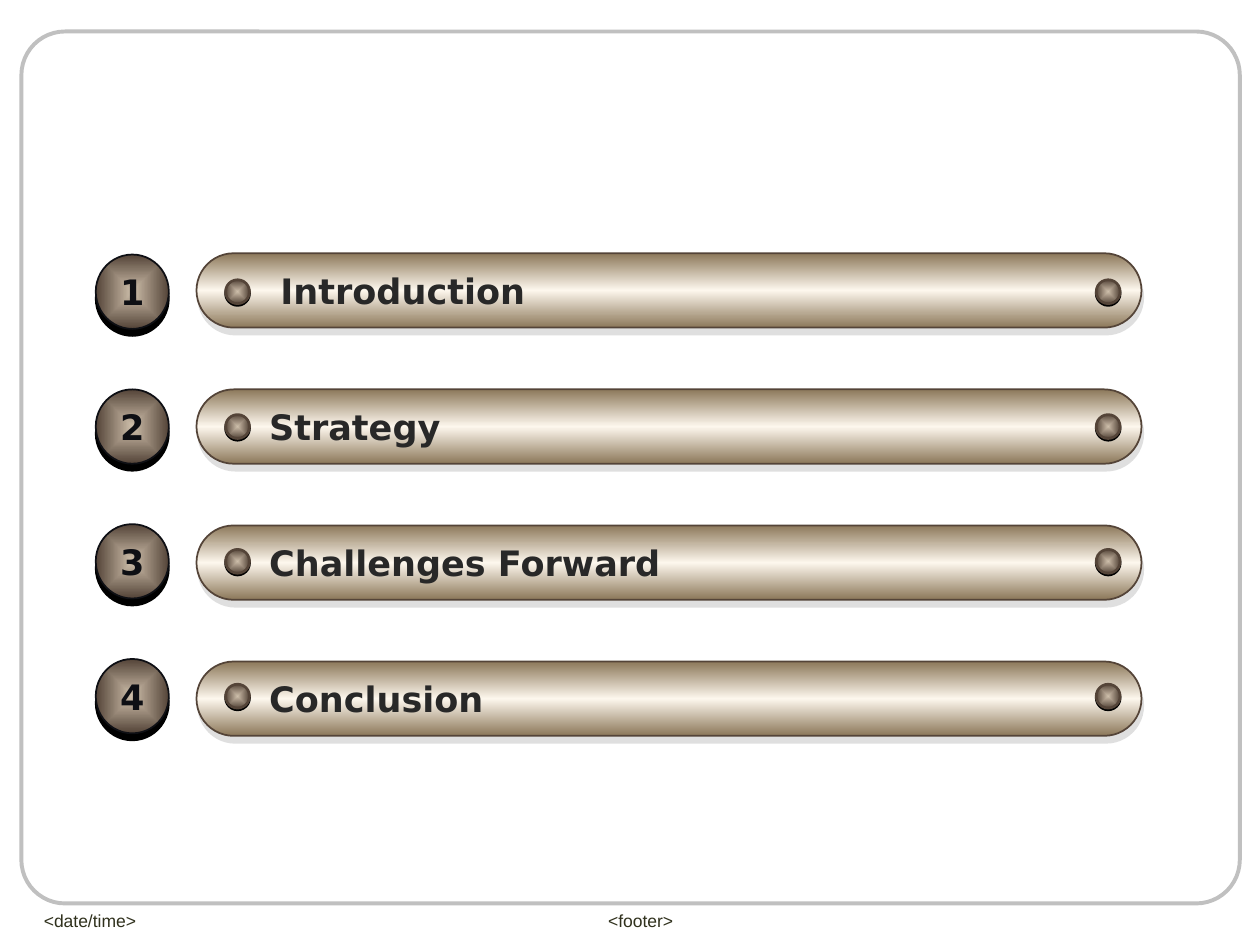
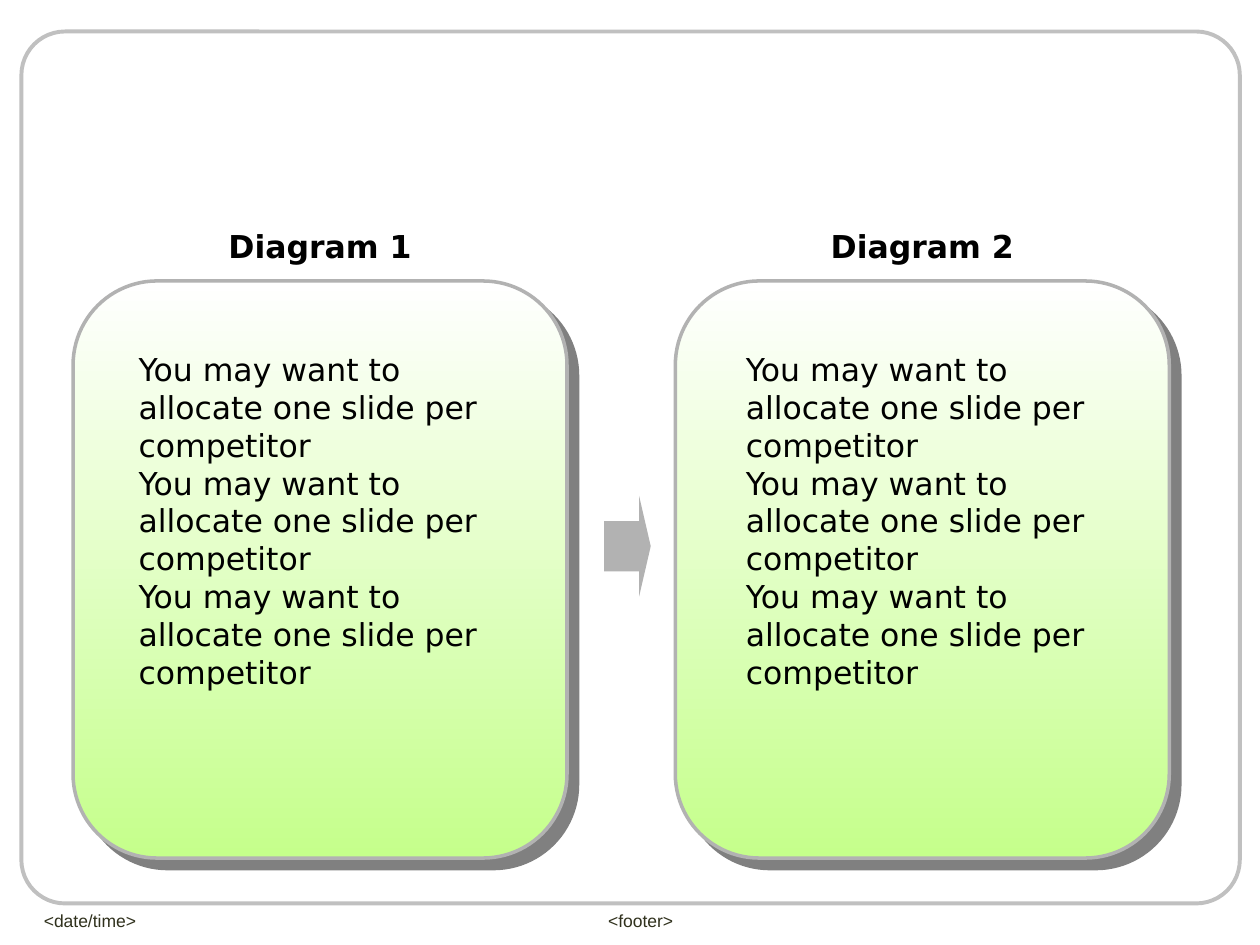
"""Build an agenda slide and a two-panel comparison slide."""
from lxml.etree import SubElement
from pptx import Presentation
from pptx.dml.color import RGBColor
from pptx.enum.shapes import MSO_SHAPE
from pptx.enum.text import MSO_ANCHOR, MSO_AUTO_SIZE, PP_ALIGN
from pptx.oxml.ns import qn
from pptx.util import Inches, Pt

AGENDA = ["Introduction", "Strategy", "Challenges Forward", "Conclusion"]
ADVICE = "You may want to allocate one slide per competitor"
DIAGRAMS = [("Diagram 1", [ADVICE] * 3), ("Diagram 2", [ADVICE] * 3)]
FOOTERS = [
    ("<date/time>", (0.25, 7.17, 2.33, 0.27), PP_ALIGN.LEFT),
    ("<footer>", (3.5, 7.17, 3.17, 0.27), PP_ALIGN.CENTER),
]

WIDTH, HEIGHT = 10, 7.5
BLANK, COMPARISON = 6, 4
HEADING_SLOTS, LIST_SLOTS = (1, 3), (2, 4)
FONT, FOOTER_FONT = "DejaVu Sans", "Arial"
FRAME_LINE, FOOTER_INK = "C0C0C0", "30311D"
BROWN, INK, BAR_INK, BLACK, GREY = "544438", "0E0F14", "282828", "000000", "B2B2B2"
BAR_STOPS = [(0, "8C785A"), (50, "FDF7ED"), (100, "8C785A")]
KNOB_STOPS = [(0, "CDBEAA"), (100, BROWN)]
PANEL_STOPS = [(0, "FFFFFF"), (100, "C5FF8B")]

BAR_TOP, BAR_PITCH = 2.01, 1.08
KNOB_TOP, KNOB_PITCH = 2.02, 1.07
BAR_LEFT, BAR_WIDTH, BAR_HEIGHT = 1.56, 7.5, 0.59
STUD_LEFTS, STUD_SIZE = (1.79, 8.7), 0.19
PANEL_PITCH, LIST_PITCH = 4.78, 4.82


def color(value):
    return RGBColor.from_string(value)


def inches(place):
    return [Inches(length) for length in place]


def add_shape(page, kind, place, line=None, width=1, adjustments=()):
    shape = page.shapes.add_shape(kind, *inches(place))
    shape.shadow.inherit = False
    shape.fill.background()
    if line:
        shape.line.color.rgb = color(line)
        shape.line.width = Pt(width)
    else:
        shape.line.fill.background()
    for index, value in enumerate(adjustments):
        shape.adjustments[index] = value
    return shape


def fill_gradient(shape, stops, from_centre=False):
    shape.fill.gradient()
    gradient = shape._element.spPr.find(qn("a:gradFill"))
    for child in list(gradient):
        gradient.remove(child)
    stop_list = SubElement(gradient, qn("a:gsLst"))
    for position, value in stops:
        stop = SubElement(stop_list, qn("a:gs"), pos=str(position * 1000))
        SubElement(stop, qn("a:srgbClr"), val=value)
    if from_centre:
        route = SubElement(gradient, qn("a:path"), path="rect")
        SubElement(route, qn("a:fillToRect"), l="50000", t="50000", r="50000", b="50000")
    else:
        SubElement(gradient, qn("a:lin"), ang="5400000", scaled="0")


def cast_shadow(shape, value, distance, angle, opacity=100):
    effects = shape._element.spPr.find(qn("a:effectLst"))
    shadow = SubElement(effects, qn("a:outerShdw"), blurRad="0", dist=str(Pt(distance)),
                        dir=str(angle * 60000), algn="ctr", rotWithShape="0")
    ink = SubElement(shadow, qn("a:srgbClr"), val=value)
    SubElement(ink, qn("a:alpha"), val=str(opacity * 1000))


def write(shape, lines, size, ink, bold=False, align=PP_ALIGN.LEFT,
          anchor=MSO_ANCHOR.TOP, font=FONT, left_margin=0.1):
    frame = shape.text_frame
    frame.word_wrap = True
    frame.auto_size = MSO_AUTO_SIZE.NONE
    frame.vertical_anchor = anchor
    frame.margin_left, frame.margin_right = Inches(left_margin), Inches(0.1)
    frame.margin_top = frame.margin_bottom = Inches(0.05)
    for index, line in enumerate(lines):
        para = frame.add_paragraph() if index else frame.paragraphs[0]
        para.alignment = align
        para.space_before = Pt(0)
        span = para.add_run()
        span.text = line
        span.font.name, span.font.size, span.font.bold = font, Pt(size), bold
        span.font.color.rgb = color(ink)


def fill_placeholder(page, slot, place, lines, **style):
    box = page.placeholders[slot]
    box.left, box.top, box.width, box.height = inches(place)
    page.shapes._spTree.append(box._element)
    write(box, lines, 18, BLACK, **style)
    for para in box.text_frame.paragraphs:
        properties = para._p.get_or_add_pPr()
        properties.set("marL", "0")
        properties.set("indent", "0")
        SubElement(properties, qn("a:buNone"))


def add_page(deck, layout):
    page = deck.slides.add_slide(deck.slide_layouts[layout])
    add_shape(page, MSO_SHAPE.ROUNDED_RECTANGLE, (0.17, 0.25, 9.67, 6.92),
              FRAME_LINE, 2.25, [0.05])
    for words, place, align in FOOTERS:
        box = page.shapes.add_textbox(*inches(place))
        write(box, [words], 10, FOOTER_INK, align=align, font=FOOTER_FONT)
    return page


def add_knob(page, place, line, width, shadow_distance):
    knob = add_shape(page, MSO_SHAPE.OVAL, place, line, width)
    fill_gradient(knob, KNOB_STOPS, from_centre=True)
    cast_shadow(knob, BLACK, shadow_distance, 90)
    return knob


def add_agenda(deck):
    page = add_page(deck, BLANK)
    for row, topic in enumerate(AGENDA):
        bar = add_shape(page, MSO_SHAPE.ROUNDED_RECTANGLE,
                        (BAR_LEFT, BAR_TOP + row * BAR_PITCH, BAR_WIDTH, BAR_HEIGHT),
                        BROWN, 1, [0.5])
        fill_gradient(bar, BAR_STOPS)
        cast_shadow(bar, FRAME_LINE, 4.1, 76, 50)
        write(bar, [topic], 20, BAR_INK, bold=True, anchor=MSO_ANCHOR.MIDDLE,
              left_margin=0.49 if row else 0.58)
        top = KNOB_TOP + row * KNOB_PITCH
        number = add_knob(page, (0.76, top, 0.58, BAR_HEIGHT), INK, 1, 4)
        write(number, [str(row + 1)], 20, INK, bold=True, align=PP_ALIGN.CENTER,
              anchor=MSO_ANCHOR.MIDDLE)
        stud_top = top + (BAR_HEIGHT - STUD_SIZE) / 2
        for left in STUD_LEFTS:
            add_knob(page, (left, stud_top, STUD_SIZE, STUD_SIZE), BROWN, 1.5, 1)


def add_comparison(deck):
    page = add_page(deck, COMPARISON)
    title = page.shapes.title._element
    title.getparent().remove(title)
    for column, (heading, points) in enumerate(DIAGRAMS):
        shift = column * PANEL_PITCH
        panel = add_shape(page, MSO_SHAPE.ROUNDED_RECTANGLE,
                          (0.58 + shift, 2.23, 3.92, 4.58), GREY, 2, [0.17])
        fill_gradient(panel, PANEL_STOPS)
        cast_shadow(panel, "808080", 8.5, 45)
        fill_placeholder(page, HEADING_SLOTS[column], (1.25 + shift, 1.75, 2.58, 0.4),
                         [heading], bold=True, align=PP_ALIGN.CENTER)
        fill_placeholder(page, LIST_SLOTS[column],
                         (1 + column * LIST_PITCH, 2.73, 3.18, 2.2), points)
    arrow = add_shape(page, MSO_SHAPE.DOWN_ARROW, (4.58, 4.15, 0.8, 0.37),
                      adjustments=[0.5, 0.25])
    arrow.rotation = 270
    arrow.fill.solid()
    arrow.fill.fore_color.rgb = color(GREY)


def main():
    deck = Presentation()
    deck.slide_width, deck.slide_height = inches((WIDTH, HEIGHT))
    add_agenda(deck)
    add_comparison(deck)
    deck.save("out.pptx")


if __name__ == "__main__":
    main()
